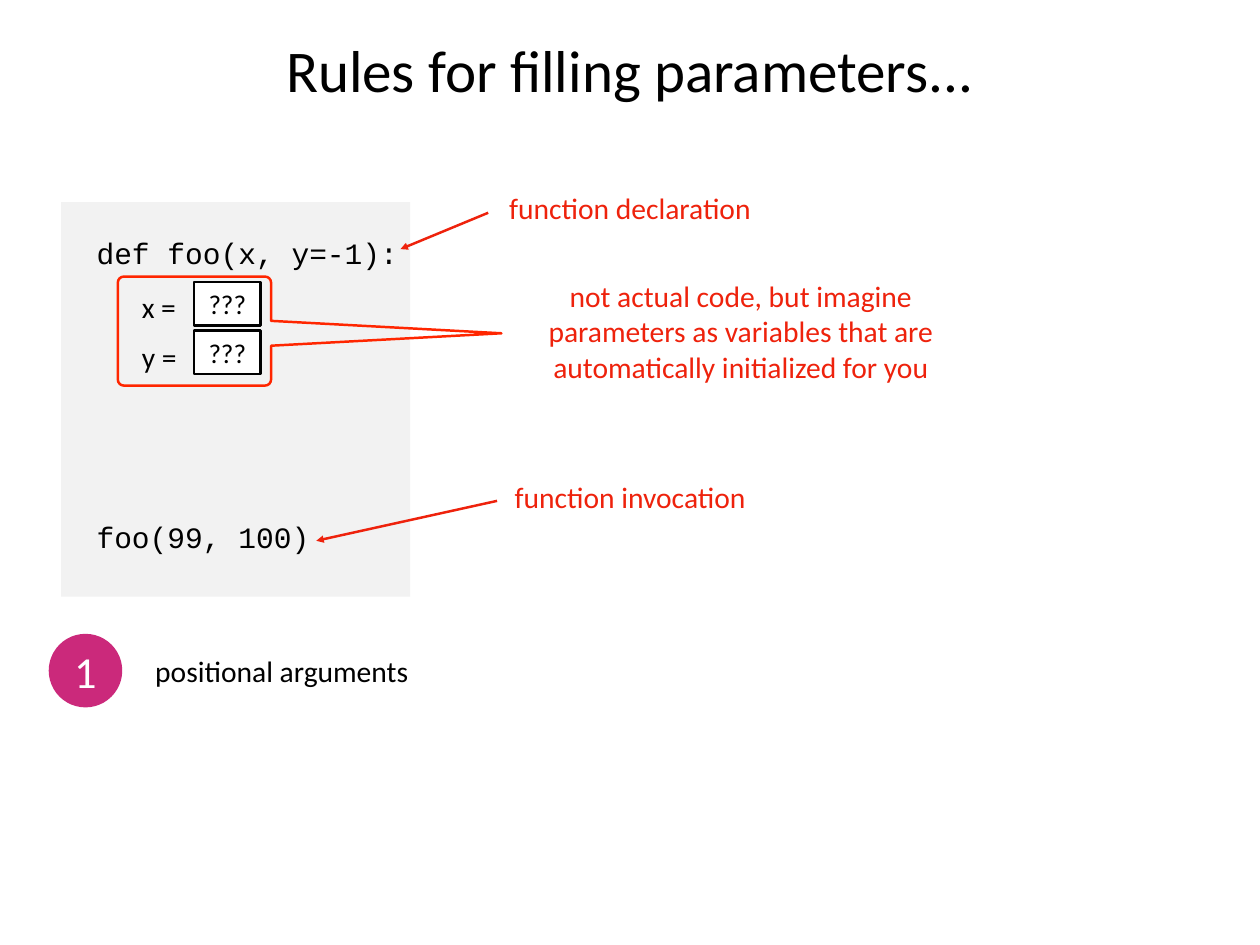
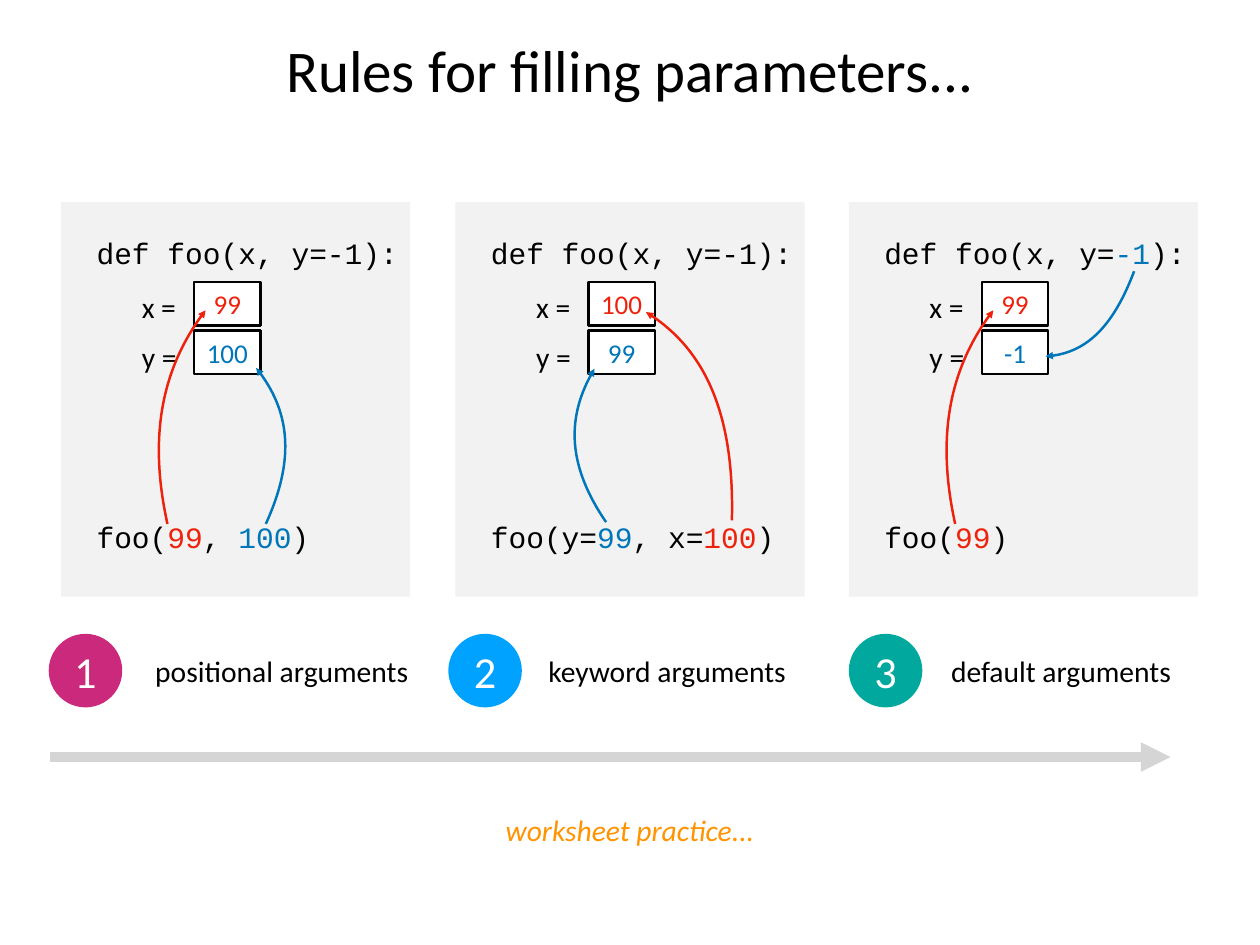
from dataclasses import dataclass

from lxml import etree
from pptx import Presentation
from pptx.dml.color import RGBColor
from pptx.enum.shapes import MSO_CONNECTOR, MSO_SHAPE
from pptx.enum.text import MSO_ANCHOR, MSO_AUTO_SIZE, PP_ALIGN
from pptx.oxml.ns import qn
from pptx.util import Pt

PX = 9144
RECTANGLE, OVAL = MSO_SHAPE.RECTANGLE, MSO_SHAPE.OVAL
STRAIGHT = MSO_CONNECTOR.STRAIGHT
LEFT, CENTER = PP_ALIGN.LEFT, PP_ALIGN.CENTER
MIDDLE = MSO_ANCHOR.MIDDLE
GROW = MSO_AUTO_SIZE.SHAPE_TO_FIT_TEXT

CURVE_SAMPLES = 40
CODE_LETTER_WIDTH = 20


@dataclass(frozen=True)
class Theme:
    ink: str = "000000"
    white: str = "FFFFFF"
    grey: str = "D6D5D5"
    red: str = "EE220C"
    scarlet: str = "FF2600"
    blue: str = "0076BA"
    orange: str = "FF9300"
    magenta: str = "CB297B"
    azure: str = "00A2FF"
    teal: str = "00A89D"
    panel_opacity: int = 30
    sans: str = "Calibri"
    code: str = "Courier New"
    title_size: int = 48
    badge_size: int = 36
    body_size: int = 24
    value_size: int = 22
    thin: int = 2
    thick: int = 8
    inset: int = 6


THEME = Theme()
INK, RED, BLUE = THEME.ink, THEME.red, THEME.blue

PANEL_LEFT, PANEL_PITCH = 69, 444.5
DECLARATION = [("def foo(x, y=-1):", INK)]
FIRST_ARGUMENT = (RED, [(120, 591), (99, 496), (113, 415), (163, 350)])

UNKNOWN_CALL = {
    "declaration": DECLARATION,
    "invocation": [("foo(99, 100)", INK)],
    "values": [("???", INK), ("???", INK)],
    "arrows": [],
}
CALLS = [
    {
        "declaration": DECLARATION,
        "invocation": [("foo(", INK), ("99", RED), (", ", INK), ("100", BLUE), (")", INK)],
        "values": [("99", RED), ("100", BLUE)],
        "arrows": [
            FIRST_ARGUMENT,
            (BLUE, [(231, 591), (263, 521), (259, 463), (220, 415)]),
        ],
    },
    {
        "declaration": DECLARATION,
        "invocation": [("foo(y=", INK), ("99", BLUE), (", x=", INK), ("100", RED), (")", INK)],
        "values": [("100", RED), ("99", BLUE)],
        "arrows": [
            (BLUE, [(170, 589), (128, 528), (124, 470), (157, 416)]),
            (RED, [(312, 587), (315, 471), (282, 393), (215, 352)]),
        ],
    },
    {
        "declaration": [("def foo(x, y=", INK), ("-1", BLUE), ("):", INK)],
        "invocation": [("foo(", INK), ("99", RED), (")", INK)],
        "values": [("99", RED), ("-1", BLUE)],
        "arrows": [
            FIRST_ARGUMENT,
            (BLUE, [(322, 306), (299, 367), (266, 400), (222, 402)]),
        ],
    },
]
RULES = [
    ("1", THEME.magenta, 55, "positional arguments", 145, 346),
    ("2", THEME.azure, 506, "keyword arguments", 590, 326),
    ("3", THEME.teal, 958, "default arguments", 1046, 303),
]


def cubic_points(start, first, second, end):
    for step in range(1, CURVE_SAMPLES + 1):
        t = step / CURVE_SAMPLES
        weights = ((1 - t) ** 3, 3 * t * (1 - t) ** 2, 3 * t * t * (1 - t), t ** 3)
        corners = (start, first, second, end)
        yield tuple(sum(w * corner[axis] for w, corner in zip(weights, corners)) for axis in (0, 1))


class SlideWriter:
    def __init__(self, deck, theme):
        self.deck = deck
        self.theme = theme
        self.page = None

    def new_page(self, title):
        self.page = self.deck.slides.add_slide(self.deck.slide_layouts[6])
        self.text(104, 28, 1214, 99, [[(title, INK)]], size=self.theme.title_size)

    def fill_text(self, shape, lines, align, spacing, style):
        frame = shape.text_frame
        inset = self.theme.inset * PX
        frame_format = {"vertical_anchor": MIDDLE}
        for side in ("left", "top", "right", "bottom"):
            frame_format["margin_" + side] = inset
        for name, value in frame_format.items():
            setattr(frame, name, value)
        for index, spans in enumerate(lines):
            para = frame.add_paragraph() if index else frame.paragraphs[0]
            para.alignment = align
            if spacing:
                para.line_spacing = spacing
            for words, colour in spans:
                span = para.add_run()
                span.text = words
                for name, value in style.items():
                    setattr(span.font, name, value)
                span.font.color.rgb = RGBColor.from_string(colour)

    def style(self, size, font=None, **extra):
        return {"name": font or self.theme.sans, "size": Pt(size), **extra}

    def text(self, left, top, width, height, lines, align=CENTER, spacing=None,
             size=THEME.body_size, font=None, **extra):
        box = self.page.shapes.add_textbox(left * PX, top * PX, width * PX, height * PX)
        self.fill_text(box, lines, align, spacing, self.style(size, font, **extra))
        box.text_frame.word_wrap = False
        box.text_frame.auto_size = GROW

    def outline(self, shape, colour, width):
        shape.line.color.rgb = RGBColor.from_string(colour)
        shape.line.width = Pt(width)

    def add_arrowhead(self, line):
        etree.SubElement(line.line._get_or_add_ln(), qn("a:tailEnd"), type="triangle")

    def shape(self, kind, left, top, width, height, fill, line=None, opacity=None,
              label=None, size=None):
        shape = self.page.shapes.add_shape(kind, *(n * PX for n in (left, top, width, height)))
        shape.shadow.inherit = False
        shape.fill.solid()
        shape.fill.fore_color.rgb = RGBColor.from_string(fill)
        if opacity:
            colour = shape.element.spPr.find(qn("a:solidFill"))[0]
            etree.SubElement(colour, qn("a:alpha"), val=str(opacity * 1000))
        if line:
            self.outline(shape, line, self.theme.thin)
        else:
            shape.line.fill.background()
        if label:
            self.fill_text(shape, [[label]], CENTER, None, self.style(size))

    def straight_arrow(self, start, end, colour, width):
        arrow = self.page.shapes.add_connector(STRAIGHT, *(n * PX for n in start + end))
        self.outline(arrow, colour, width)
        self.add_arrowhead(arrow)
        etree.SubElement(arrow._element.spPr, qn("a:effectLst"))

    def curved_outline(self, start, steps, colour, closed=False):
        points, current = [], start
        for step in steps:
            points += cubic_points(current, *step) if len(step) == 3 else step
            current = step[-1]
        builder = self.page.shapes.build_freeform(*start, scale=PX)
        builder.add_line_segments(points, close=closed)
        shape = builder.convert_to_shape()
        origin = (round(shape.left / PX), round(shape.top / PX))
        geometry = next(shape.element.iter(qn("a:path")))
        for segment in list(geometry)[1:]:
            geometry.remove(segment)
        for step in steps:
            tag = "a:cubicBezTo" if len(step) == 3 else "a:lnTo"
            segment = etree.SubElement(geometry, qn(tag))
            for x, y in step:
                etree.SubElement(segment, qn("a:pt"), x=str(x - origin[0]), y=str(y - origin[1]))
        if closed:
            etree.SubElement(geometry, qn("a:close"))
        shape.shadow.inherit = False
        shape.fill.background()
        self.outline(shape, colour, self.theme.thin)
        if not closed:
            self.add_arrowhead(shape)

    def code(self, left, top, spans):
        letters = sum(len(words) for words, _ in spans)
        width = CODE_LETTER_WIDTH * letters + 2 * self.theme.inset + 4
        self.text(left, top, width, 51, [spans], LEFT, font=self.theme.code)

    def call_panel(self, index, call):
        left = round(PANEL_LEFT + index * PANEL_PITCH)
        self.shape(RECTANGLE, left, 228, 394, 445, self.theme.grey, opacity=self.theme.panel_opacity)
        self.code(left + 34, 260, call["declaration"])
        self.code(left + 34, 580, call["invocation"])
        self.text(left + 85, 305, 65, 123, [[("x =", INK)], [("y =", INK)]], LEFT, 1.4)
        for row, value in enumerate(call["values"]):
            self.shape(RECTANGLE, left + 150, 318 + row * 55, 75, 49, self.theme.white,
                       line=INK, label=value, size=self.theme.value_size)
        for colour, points in call["arrows"]:
            start, *curve = [(left + x, y) for x, y in points]
            self.curved_outline(start, [curve], colour)

    def rule_label(self, number, colour, badge_left, words, left, width):
        self.shape(OVAL, badge_left, 715, 83, 83, colour,
                   label=(number, self.theme.white), size=self.theme.badge_size)
        self.text(left, 731, width, 51, [[(words, INK)]])

    def callout(self, left, top, right, bottom, base, tip, radius, colour):
        bend = radius * 4 // 7
        steps = [
            [(left + radius - bend, top), (left, top + radius - bend), (left, top + radius)],
            [(left, bottom - radius)],
            [(left, bottom - radius + bend), (left + radius - bend, bottom), (left + radius, bottom)],
            [(right - radius, bottom)],
            [(right - radius + bend, bottom), (right, bottom - radius + bend), (right, bottom - radius)],
            [(right, base[1])],
            [tip],
            [(right, base[0])],
            [(right, top + radius)],
            [(right, top + radius - bend), (right - radius + bend, top), (right - radius, top)],
        ]
        self.curved_outline((left + radius, top), steps, colour, closed=True)


def main():
    deck = Presentation()
    deck.slide_width, deck.slide_height = 1422 * PX, 1066 * PX
    writer = SlideWriter(deck, THEME)
    title = "Rules for filling parameters..."

    writer.new_page(title)
    writer.call_panel(0, UNKNOWN_CALL)
    writer.rule_label(*RULES[0])
    writer.callout(133, 312, 306, 435, (362, 390), (566, 376), 7, THEME.scarlet)
    remark = [
        "not actual code, but imagine",
        "parameters as variables that are",
        "automatically initialized for you",
    ]
    writer.text(577, 308, 518, 131, [[(line, RED)] for line in remark])
    writer.text(548, 209, 326, 51, [[("function declaration", RED)]])
    writer.text(555, 535, 312, 51, [[("function invocation", RED)]])
    writer.straight_arrow((551, 240), (452, 281), RED, THEME.thin)
    writer.straight_arrow((561, 565), (357, 610), RED, THEME.thin)

    writer.new_page(title)
    for index, call in enumerate(CALLS):
        writer.call_panel(index, call)
    for rule in RULES:
        writer.rule_label(*rule)
    writer.straight_arrow((57, 854), (1321, 854), THEME.grey, THEME.thick)
    writer.text(554, 910, 314, 51, [[("worksheet practice...", THEME.orange)]], italic=True)

    deck.save("out.pptx")


if __name__ == "__main__":
    main()
